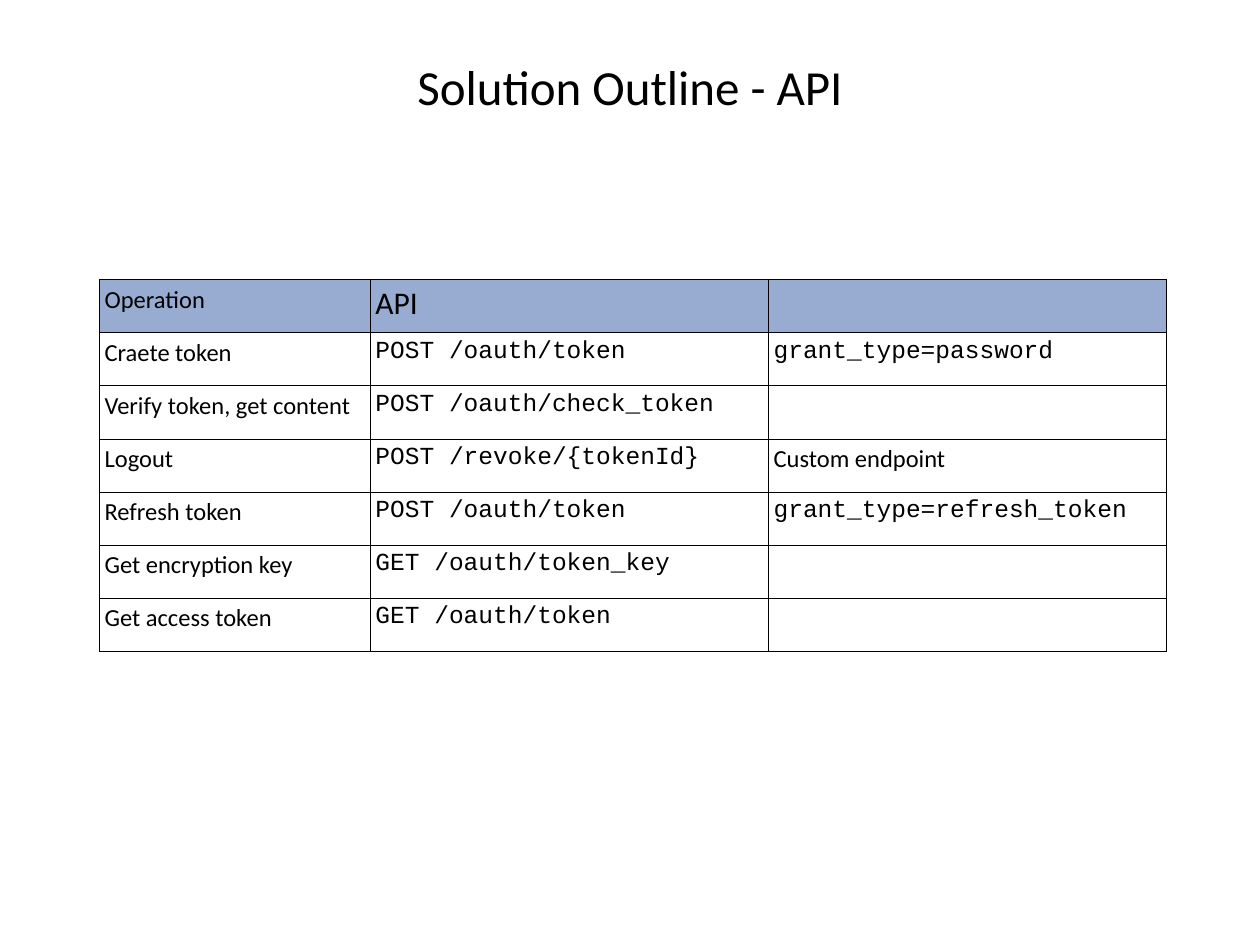
import pptx
import pptx.dml.color
import pptx.enum.text
import pptx.oxml
import pptx.util
from pptx.util import Inches

BODY, CODE = "Calibri", "Courier New"
HEADINGS = [("Operation", BODY, 14), ("API", BODY, 18), ("", BODY, 14)]
OPERATIONS = [
    ("Craete token", "POST /oauth/token", "grant_type=password", CODE),
    ("Verify token, get content", "POST /oauth/check_token", "", CODE),
    ("Logout", "POST /revoke/{tokenId}", "Custom endpoint", BODY),
    ("Refresh token", "POST /oauth/token", "grant_type=refresh_token", CODE),
    ("Get encryption key", "GET /oauth/token_key", "", CODE),
    ("Get access token", "GET /oauth/token", "", CODE),
]


def colour(value):
    """Turn a hex string into a colour."""
    return pptx.dml.color.RGBColor.from_string(value)


def write(frame, text, font=BODY, size=14, ink="000000", align=None):
    """Put formatted text into the first paragraph of a frame."""
    line = frame.paragraphs[0]
    line.alignment = align
    for face in (line.font, line.add_run().font if text else line.font):
        face.name = font
        face.size = pptx.util.Pt(size)
        face.color.rgb = colour(ink)
    if text:
        line.runs[0].text = text


def outline(cell, ink="000000", width=0.5):
    """Draw all four borders of a table cell."""
    properties = cell._tc.get_or_add_tcPr()
    namespace = "http://schemas.openxmlformats.org/drawingml/2006/main"
    for place, side in enumerate(("lnL", "lnR", "lnT", "lnB")):
        properties.insert(place, pptx.oxml.parse_xml(
            f'<a:{side} xmlns:a="{namespace}" w="{pptx.util.Pt(width)}">'
            f'<a:solidFill><a:srgbClr val="{ink}"/></a:solidFill></a:{side}>'))


def add_title(slide, left, top, width, height):
    """Place the centred slide title in the given box."""
    title = slide.shapes.add_textbox(
        Inches(left), Inches(top), Inches(width), Inches(height)).text_frame
    title.word_wrap = True
    title.vertical_anchor = pptx.enum.text.MSO_ANCHOR.MIDDLE
    write(title, "Solution Outline - API", size=28,
          align=pptx.enum.text.PP_ALIGN.CENTER)


def add_operations(slide, left, top, width, height, first_column=2.15):
    """Place the table of API operations in the given box."""
    rows = [HEADINGS] + [
        [(operation, BODY, 14), (call, CODE, 14), (remark, font, 14)]
        for operation, call, remark, font in OPERATIONS]
    operations = slide.shapes.add_table(
        len(rows), len(HEADINGS), Inches(left), Inches(top),
        Inches(width), Inches(height)).table
    operations.horz_banding = False
    other_column = (width - first_column) / (len(HEADINGS) - 1)
    for number, column in enumerate(operations.columns):
        column.width = Inches(other_column if number else first_column)
    for row, entries in enumerate(rows):
        for column, (text, font, size) in enumerate(entries):
            cell = operations.cell(row, column)
            cell.margin_left = cell.margin_right = Inches(0.04)
            cell.margin_top = cell.margin_bottom = Inches(0.04)
            if row:
                cell.fill.background()
            else:
                cell.fill.solid()
                cell.fill.fore_color.rgb = colour("97ACD0")
            outline(cell)
            write(cell.text_frame, text, font=font, size=size)


def build():
    """Build and save the presentation."""
    deck = pptx.Presentation()
    deck.slide_width, deck.slide_height = Inches(10), Inches(7.5)
    slide = deck.slides.add_slide(deck.slide_layouts[6])
    add_title(slide, 0.5, 0.3, 9, 0.77)
    add_operations(slide, 0.79, 2.22, 8.47, 2.95)
    deck.save("out.pptx")


build()
